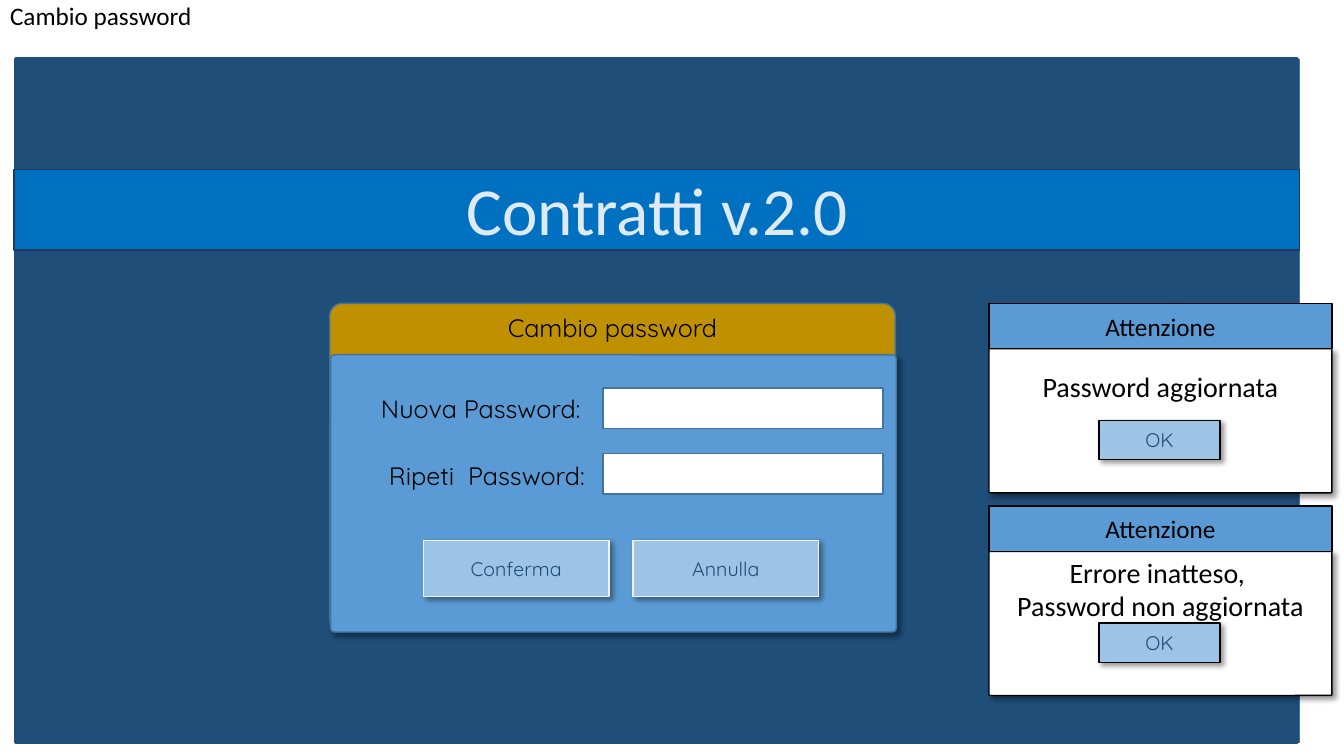
from lxml.etree import SubElement as Sub
from pptx import Presentation
from pptx.dml.color import RGBColor
from pptx.enum.shapes import MSO_SHAPE as Kind
from pptx.enum.text import MSO_ANCHOR as Anchor, PP_ALIGN as Align
from pptx.oxml.ns import qn
from pptx.util import Inches, Pt

NAVY, BLUE, SKY, EDGE = "1F4E79", "5B9BD5", "9DC3E6", "43739E"
WHITE, BLACK = "FFFFFF", "000000"
CALIBRI = {"name": "Calibri", "size": Pt(18)}
QUICK = {"name": "Quicksand", "size": Pt(18)}
SMALL = {"name": "Quicksand", "size": Pt(14)}


def color(code):
    return RGBColor.from_string(code)


def write(shape, text, font, ink=BLACK, align=Align.CENTER, anchor=Anchor.MIDDLE):
    frame = shape.text_frame
    frame.word_wrap = True
    frame.vertical_anchor = anchor
    frame.text = text
    for para in frame.paragraphs:
        para.alignment = align
        para.font.color.rgb = color(ink)
        for run in para.runs:
            run.font.color.rgb = color(ink)
            for key, value in font.items():
                setattr(run.font, key, value)


def fade(node, percent):
    Sub(node, qn("a:alpha"), val=str(percent * 1000))


def cast(shape):
    """Give the shape a soft shadow towards the lower right."""
    effects = shape._element.spPr.find(qn("a:effectLst"))
    outer = Sub(effects, qn("a:outerShdw"), blurRad=str(Pt(4)), dist=str(Pt(3)),
                dir=str(45 * 60000), algn="tl", rotWithShape="0")
    fade(Sub(outer, qn("a:srgbClr"), val=BLACK), 40)


def box(shapes, place, fill, line=EDGE, width=1, round=None, shadow=False):
    kind = Kind.RECTANGLE if round is None else Kind.ROUNDED_RECTANGLE
    shape = shapes.add_shape(kind, *map(Inches, place))
    if round is not None:
        shape.adjustments[0] = round
    shape.fill.solid()
    shape.fill.fore_color.rgb = color(fill)
    shape.line.color.rgb = color(line)
    shape.line.width = Pt(width)
    shape.shadow.inherit = False
    if shadow:
        cast(shape)
    return shape


def label(shapes, place, *args, **format):
    write(shapes.add_textbox(*map(Inches, place)), *args, anchor=Anchor.TOP, **format)


def button(shapes, place, text, line):
    write(box(shapes, place, SKY, line, shadow=True), text, SMALL, NAVY)


def field(shapes, text, left, top, box_top):
    label(shapes, (left, top, 2.34, 0.4), text, QUICK, align=Align.LEFT)
    box(shapes, (5.98, box_top, 2.78, 0.4), WHITE)


def alert(shapes, top, text):
    group = shapes.add_group_shape().shapes
    body = box(group, (9.81, top + 0.45, 3.4, 1.43), WHITE, BLACK, round=0.007, shadow=True)
    write(body, text, {**CALIBRI, "size": Pt(20)})
    body.text_frame.margin_top = 0
    body.text_frame.margin_bottom = Inches(0.69)
    button(group, (10.9, top + 1.16, 1.2, 0.39), "OK", BLACK)
    write(box(group, (9.81, top, 3.4, 0.45), BLUE, BLACK), "Attenzione", CALIBRI)


def window(shapes):
    back = box(shapes, (0.16, 0.59, 12.73, 6.77), BLUE)
    fade(back.fill._xPr.find(qn("a:solidFill"))[0], 52)
    box(shapes, (0.16, 0.59, 12.7, 6.77), NAVY, NAVY, 3)
    box(shapes, (0.14, 1.68, 12.75, 0.8), "0070C0", "203864")
    label(shapes, (1.07, 1.62, 10.9, 0.91), "Contratti v.2.0",
          {**CALIBRI, "size": Pt(48)}, "DEEBF7")


def dialog(shapes):
    head = box(shapes, (3.27, 3.01, 5.61, 3.26), "BF9000", round=0.038)
    write(head, "Cambio password", QUICK, anchor=Anchor.TOP)
    box(shapes, (3.28, 3.52, 5.61, 2.75), BLUE, round=0.014, shadow=True)
    field(shapes, "Nuova Password:", 3.68, 3.85, 3.85)
    field(shapes, "Ripeti  Password:", 3.76, 4.52, 4.5)
    for left, text in ((4.2, "Conferma"), (6.28, "Annulla")):
        button(shapes, (left, 5.36, 1.84, 0.56), text, "F2F2F2")


def main():
    deck = Presentation()
    deck.slide_width, deck.slide_height = Inches(13.33), Inches(7.5)
    shapes = deck.slides.add_slide(deck.slide_layouts[5]).shapes
    title = shapes.title
    title.left, title.top = Inches(0), Inches(0)
    title.width, title.height = Inches(2.05), Inches(0.35)
    write(title, "Cambio password", CALIBRI, align=Align.LEFT)
    title.text_frame.paragraphs[0].line_spacing = 0.9
    window(shapes)
    dialog(shapes)
    alert(shapes, 3.01, "Password aggiornata")
    alert(shapes, 5.02, "Errore inatteso, \nPassword non aggiornata")
    deck.save("out.pptx")


if __name__ == "__main__":
    main()
